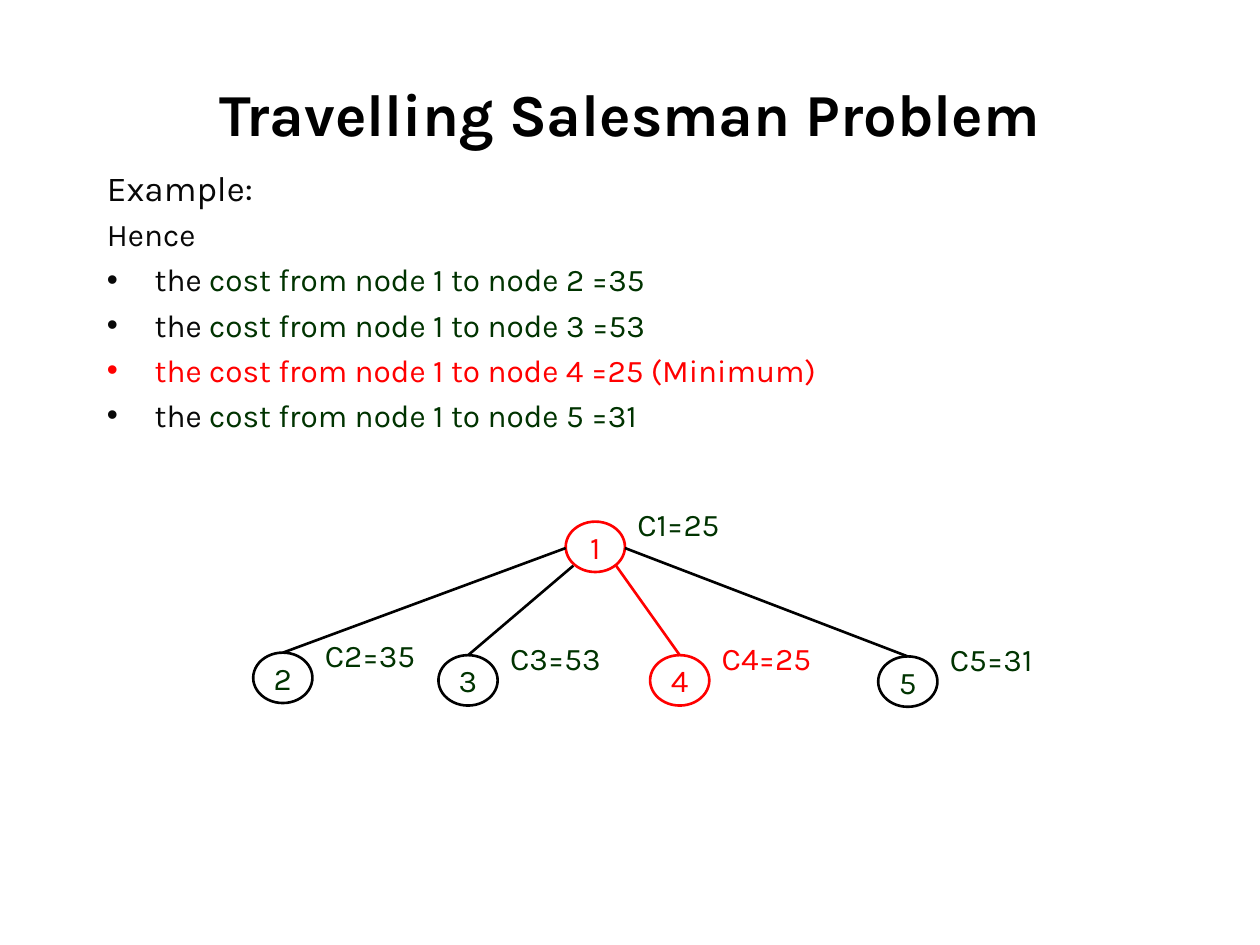
from lxml.etree import SubElement
from pptx import Presentation
from pptx.dml.color import RGBColor
from pptx.enum.shapes import MSO_CONNECTOR, MSO_SHAPE
from pptx.enum.text import MSO_ANCHOR, PP_ALIGN
from pptx.oxml.ns import qn
from pptx.util import Inches, Pt

BLACK, INK, GREEN, RED = "000000", "080808", "003300", "FF0000"
NODE_WIDTH, NODE_HEIGHT = 0.47, 0.4

TITLE = [[("Travelling Salesman Problem", BLACK)]]
EXAMPLE = [[("Example:", INK)]]
COSTS = [
    [("Hence", INK)],
    [("the ", INK), ("cost from node 1 to node 2 =35", GREEN)],
    [("the ", INK), ("cost from node 1 to node 3 =53", GREEN)],
    [("the cost from node 1 to node 4 =25 (Minimum)", RED)],
    [("the ", INK), ("cost from node 1 to node 5 =31", GREEN)],
]
# number, cost, left, top, outline, number colour, label colour, label width
NODES = [
    ("1", "C1=25", 4.49, 4.14, RED, RED, GREEN, 1),
    ("5", "C5=31", 6.97, 5.21, BLACK, GREEN, GREEN, 1.1),
    ("4", "C4=25", 5.16, 5.2, RED, RED, RED, 1.1),
    ("3", "C3=53", 3.48, 5.2, BLACK, GREEN, GREEN, 0.97),
    ("2", "C2=35", 2.01, 5.18, BLACK, GREEN, GREEN, 1.04),
]
EDGES = [
    ("2", 4.49, 4.35, BLACK),
    ("3", 4.55, 4.49, BLACK),
    ("4", 4.89, 4.49, RED),
    ("5", 4.96, 4.35, BLACK),
]


def color(value):
    return RGBColor.from_string(value)


def add_bullet(para):
    properties = para._p.get_or_add_pPr()
    properties.set("marL", str(Inches(0.38)))
    properties.set("indent", str(Inches(-0.38)))
    SubElement(properties, qn("a:buFont"), typeface="Arial")
    SubElement(properties, qn("a:buChar"), char="•")


def write(shape, paragraphs, frame_format=None, para_format=None, bulleted=False, **font_format):
    frame = shape.text_frame
    for name, value in {"word_wrap": True, **(frame_format or {})}.items():
        setattr(frame, name, value)
    for index, spans in enumerate(paragraphs):
        para = frame.paragraphs[0] if index == 0 else frame.add_paragraph()
        if index:
            para.space_before = Pt(4.2)
            if bulleted:
                add_bullet(para)
        for name, value in (para_format or {}).items():
            setattr(para, name, value)
        for text, shade in spans:
            span = para.add_run()
            span.text = text
            for name, value in {"name": "Karla", "size": Pt(18), **font_format}.items():
                setattr(span.font, name, value)
            span.font.color.rgb = color(shade)


def add_text(page, bounds, paragraphs, **formats):
    box = page.shapes.add_textbox(*map(Inches, bounds))
    write(box, paragraphs, **formats)


def add_node(page, number, left, top, outline, shade):
    node = page.shapes.add_shape(
        MSO_SHAPE.OVAL, *map(Inches, (left, top, NODE_WIDTH, NODE_HEIGHT))
    )
    node.shadow.inherit = False
    node.fill.background()
    node.line.color.rgb = color(outline)
    node.line.width = Pt(1.5)
    margins = dict.fromkeys(("margin_left", "margin_right", "margin_top", "margin_bottom"), 0)
    write(node, [[(number, shade)]],
          frame_format={"word_wrap": False, "vertical_anchor": MSO_ANCHOR.MIDDLE, **margins},
          para_format={"alignment": PP_ALIGN.CENTER})
    return node


def add_edge(page, child, x, y, shade):
    edge = page.shapes.add_connector(MSO_CONNECTOR.STRAIGHT, 0, 0, Inches(x), Inches(y))
    edge.begin_connect(child, 0)
    edge.line.color.rgb = color(shade)
    edge.line.width = Pt(1.5)
    SubElement(edge._element.spPr, qn("a:effectLst"))


def main():
    deck = Presentation()
    deck.slide_width, deck.slide_height = Inches(10), Inches(7.5)
    page = deck.slides.add_slide(deck.slide_layouts[6])
    add_text(page, (0.5, 0.5, 9, 0.79), TITLE, size=Pt(34), bold=True,
             frame_format={"vertical_anchor": MSO_ANCHOR.MIDDLE},
             para_format={"alignment": PP_ALIGN.CENTER})
    add_text(page, (0.75, 1.27, 7.87, 0.47), EXAMPLE, size=Pt(20),
             para_format={"alignment": PP_ALIGN.JUSTIFY})
    add_text(page, (0.75, 1.66, 8.5, 1.93), COSTS, bulleted=True)
    nodes = {}
    for number, cost, left, top, outline, shade, label_shade, label_width in NODES:
        nodes[number] = add_node(page, number, left, top, outline, shade)
        add_text(page, (left + NODE_WIDTH, top - 0.18, label_width, 0.4),
                 [[(cost, label_shade)]])
    for number, x, y, shade in EDGES:
        add_edge(page, nodes[number], x, y, shade)
    deck.save("out.pptx")


if __name__ == "__main__":
    main()
